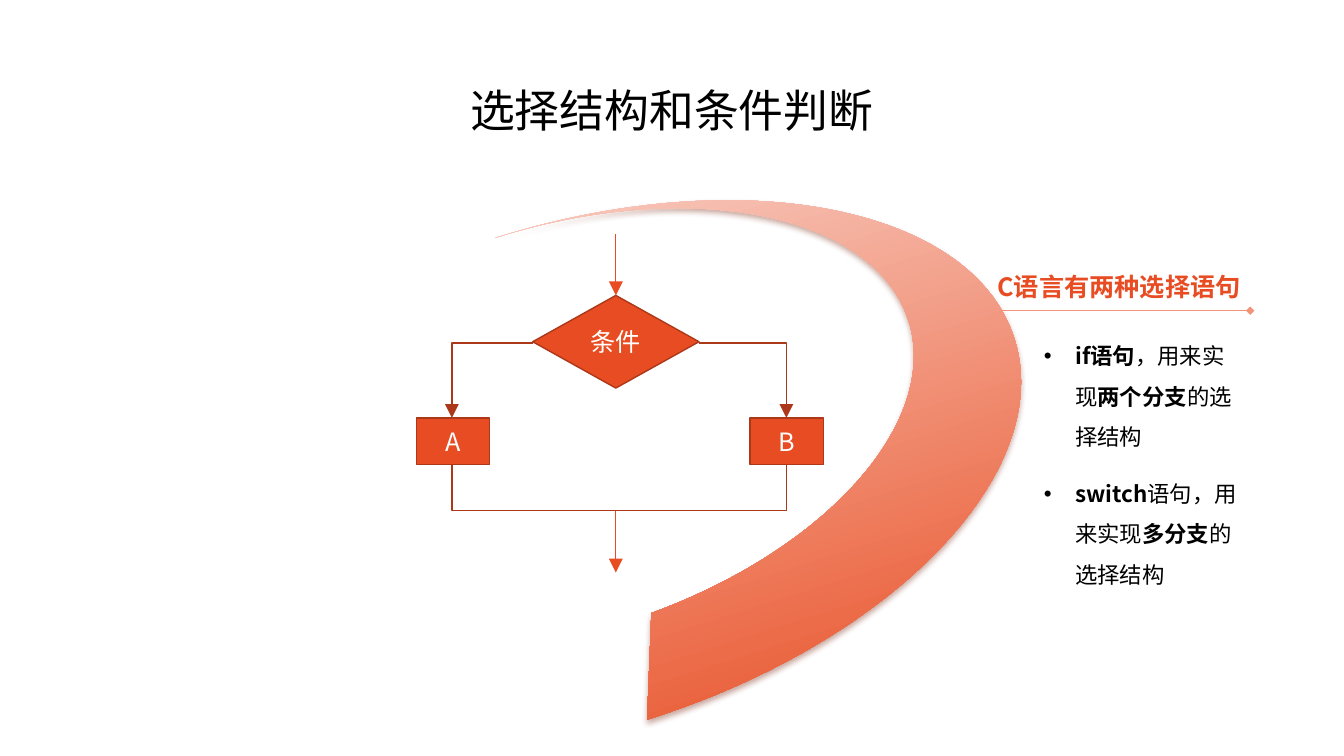
from lxml.etree import SubElement
from pptx import Presentation
from pptx.dml.color import RGBColor
from pptx.enum.shapes import MSO_CONNECTOR, MSO_SHAPE
from pptx.enum.text import MSO_ANCHOR, PP_ALIGN
from pptx.oxml.ns import qn
from pptx.util import Pt

FONT = "Noto Sans CJK SC"
COLORS = {
    "text": "000000", "white": "FFFFFF", "accent": "E84C22", "outline": "AC3819",
    "rule": "F1947A", "pale": "FADBD3", "shadow": "78230D",
}
ARROW = {"type": "triangle", "w": "lg", "len": "lg"}
DIAMOND = {"type": "diamond"}


def rgb(name):
    return RGBColor.from_string(COLORS[name])


def format_run(run, size, color, bold=False):
    run.font.name = FONT
    run.font.size = Pt(size)
    run.font.bold = bold
    run.font.color.rgb = rgb(color)
    SubElement(run._r.get_or_add_rPr(), qn("a:ea"), typeface=FONT)


def format_line(line, color, width, **ends):
    """Style a line; ends maps headEnd or tailEnd to its attributes."""
    line.color.rgb = rgb(color)
    line.width = Pt(width)
    for end, attributes in ends.items():
        SubElement(line._get_or_add_ln(), qn(f"a:{end}"), attributes)


def add_straight(slide, start, finish, color, **ends):
    connector = slide.shapes.add_connector(
        MSO_CONNECTOR.STRAIGHT, *(Pt(value) for value in (*start, *finish)))
    format_line(connector.line, color, 0.5, **ends)
    SubElement(connector._element.spPr, qn("a:effectLst"))


def add_path(slide, left, top, points, close=False):
    """Draw a path whose points are relative to left and top."""
    placed = [(Pt(left + x), Pt(top + y)) for x, y in points]
    builder = slide.shapes.build_freeform(*placed[0], scale=1.0)
    builder.add_line_segments(placed[1:], close=close)
    shape = builder.convert_to_shape()
    shape.shadow.inherit = False
    return shape


def add_node(slide, kind, left, top, width, height, label):
    shape = slide.shapes.add_shape(kind, Pt(left), Pt(top), Pt(width), Pt(height))
    shape.shadow.inherit = False
    shape.fill.solid()
    shape.fill.fore_color.rgb = rgb("accent")
    format_line(shape.line, "outline", 1)
    text_frame = shape.text_frame
    text_frame.text = label
    text_frame.word_wrap = False
    text_frame.vertical_anchor = MSO_ANCHOR.MIDDLE
    paragraph = text_frame.paragraphs[0]
    paragraph.alignment = PP_ALIGN.CENTER
    format_run(paragraph.runs[0], 18, "white")


def add_text_box(slide, left, top, width, height):
    shape = slide.shapes.add_textbox(Pt(left), Pt(top), Pt(width), Pt(height))
    shape.text_frame.word_wrap = True
    return shape.text_frame


def build_title(slide, left, top, width, height):
    title = slide.shapes.title
    title.left, title.top, title.width, title.height = map(Pt, (left, top, width, height))
    title.text_frame.text = "选择结构和条件判断"
    title.text_frame.vertical_anchor = MSO_ANCHOR.MIDDLE
    paragraph = title.text_frame.paragraphs[0]
    paragraph.alignment = PP_ALIGN.CENTER
    paragraph.line_spacing = 0.9
    format_run(paragraph.runs[0], 32, "text")


def build_flowchart(slide, left, top, width, height):
    axis, branches = 142.5, (25.4, 264.3)
    node_width, node_height, node_top = 52.4, 33.2, 131.5
    diamond_width, diamond_top, diamond_height = 118.8, 44, 66.2
    middle, join = diamond_top + diamond_height / 2 + 0.8, height - 44.2
    diamond_left = axis - diamond_width / 2

    # Entry, exit and condition
    for start, finish in ((0, diamond_top), (join, height)):
        add_straight(slide, (left + axis, top + start), (left + axis, top + finish),
                     "accent", tailEnd=ARROW)
    add_node(slide, MSO_SHAPE.FLOWCHART_DECISION, left + diamond_left, top + diamond_top,
             diamond_width, diamond_height, "条件")

    # Two branches that meet again at the join
    corners = (diamond_left, diamond_left + diamond_width)
    bottom = node_top + node_height
    routes = [([(corner, middle), (branch, middle), (branch, node_top)],
               {"tailEnd": ARROW}) for corner, branch in zip(corners, branches)]
    routes.append(([(branches[0], bottom), (branches[0], join),
                    (branches[1], join), (branches[1], bottom)], {}))
    for points, ends in routes:
        route = add_path(slide, left, top, points)
        route.fill.background()
        format_line(route.line, "outline", 1, **ends)
    for label, offset in (("A", 0), ("B", width - node_width)):
        add_node(slide, MSO_SHAPE.RECTANGLE, left + offset, top + node_top,
                 node_width, node_height, label)


def bend(segment, controls):
    """Turn a straight path segment into a cubic curve."""
    segment.tag = qn("a:cubicBezTo")
    for position, (x, y) in enumerate(controls):
        point = SubElement(segment, qn("a:pt"), x=str(Pt(x)), y=str(Pt(y)))
        segment.insert(position, point)


def build_crescent(slide, left, top, width, height):
    # Outline before rotation: corners, then the controls of each curved segment
    corners = [(width, 0), (331.4, 1.9), (306.3, 71.7), (68.3, 215.6),
               (width, height), (0, height / 2), (width, 0)]
    curves = {
        2: [(172.3, 77.8), (68.3, 140)],
        3: [(68.3, 295.6), (185.7, height)],
        4: [(148.6, height), (0, 279.9)],
        5: [(0, 80.8), (148.6, 0)],
    }
    shape = add_path(slide, left, top, corners, close=True)
    segments = list(shape._element.spPr.iter(qn("a:lnTo")))
    for index, controls in curves.items():
        bend(segments[index], controls)
    shape.rotation = 162.5
    shape.line.fill.background()
    shape.fill.gradient()
    shape.fill.gradient_angle = 90
    for stop, color, position in zip(shape.fill.gradient_stops, ("pale", "accent"), (0, 1)):
        stop.color.rgb = rgb(color)
        stop.position = position

    # Soft shadow below
    effects = shape._element.spPr.find(qn("a:effectLst"))
    shadow = SubElement(effects, qn("a:outerShdw"), blurRad=str(Pt(4)), dist=str(Pt(3)),
                        dir="5400000", rotWithShape="0")
    color = SubElement(shadow, qn("a:srgbClr"), val=COLORS["shadow"])
    SubElement(color, qn("a:alpha"), val="40000")


def build_statements(slide, left, top, width):
    # Heading with its rule
    heading = add_text_box(slide, left, top, width, 28.8)
    heading.text = "C语言有两种选择语句"
    format_run(heading.paragraphs[0].runs[0], 18, "accent", True)
    add_straight(slide, (left + 187.6, top + 31.7), (left + 9, top + 31.7),
                 "rule", headEnd=DIAMOND)

    # Bullets as (text, bold) pieces
    bullets = [
        [("if语句", True), ("，用来实现", False), ("两个分支", True), ("的选择结构", False)],
        [("switch", True), ("语句，用来实现", False), ("多分支", True), ("的选择结构", False)],
    ]
    text_frame = add_text_box(slide, left + 33.1, top + 41.3, 154.8, 218.2)
    for index, pieces in enumerate(bullets):
        paragraph = text_frame.add_paragraph() if index else text_frame.paragraphs[0]
        paragraph.line_spacing = 1.5
        paragraph.space_before = paragraph.space_after = Pt(6)
        properties = paragraph._p.get_or_add_pPr()
        properties.set("marL", str(Pt(22.5)))
        properties.set("indent", str(-Pt(22.5)))
        SubElement(properties, qn("a:buFont"), typeface="Arial")
        SubElement(properties, qn("a:buChar"), char="•")
        for text, bold in pieces:
            run = paragraph.add_run()
            run.text = text
            format_run(run, 16, "text", bold)


def main():
    presentation = Presentation()
    presentation.slide_width, presentation.slide_height = Pt(960), Pt(540)
    slide = presentation.slides.add_slide(presentation.slide_layouts[5])
    build_title(slide, 66, 28.8, 828, 104.4)
    build_flowchart(slide, 297.4, 167, 290.7, 242)
    build_crescent(slide, 400.3, 111.6, 332, 360.8)
    build_statements(slide, 705.4, 190.2, 201.6)
    presentation.save("out.pptx")


if __name__ == "__main__":
    main()
